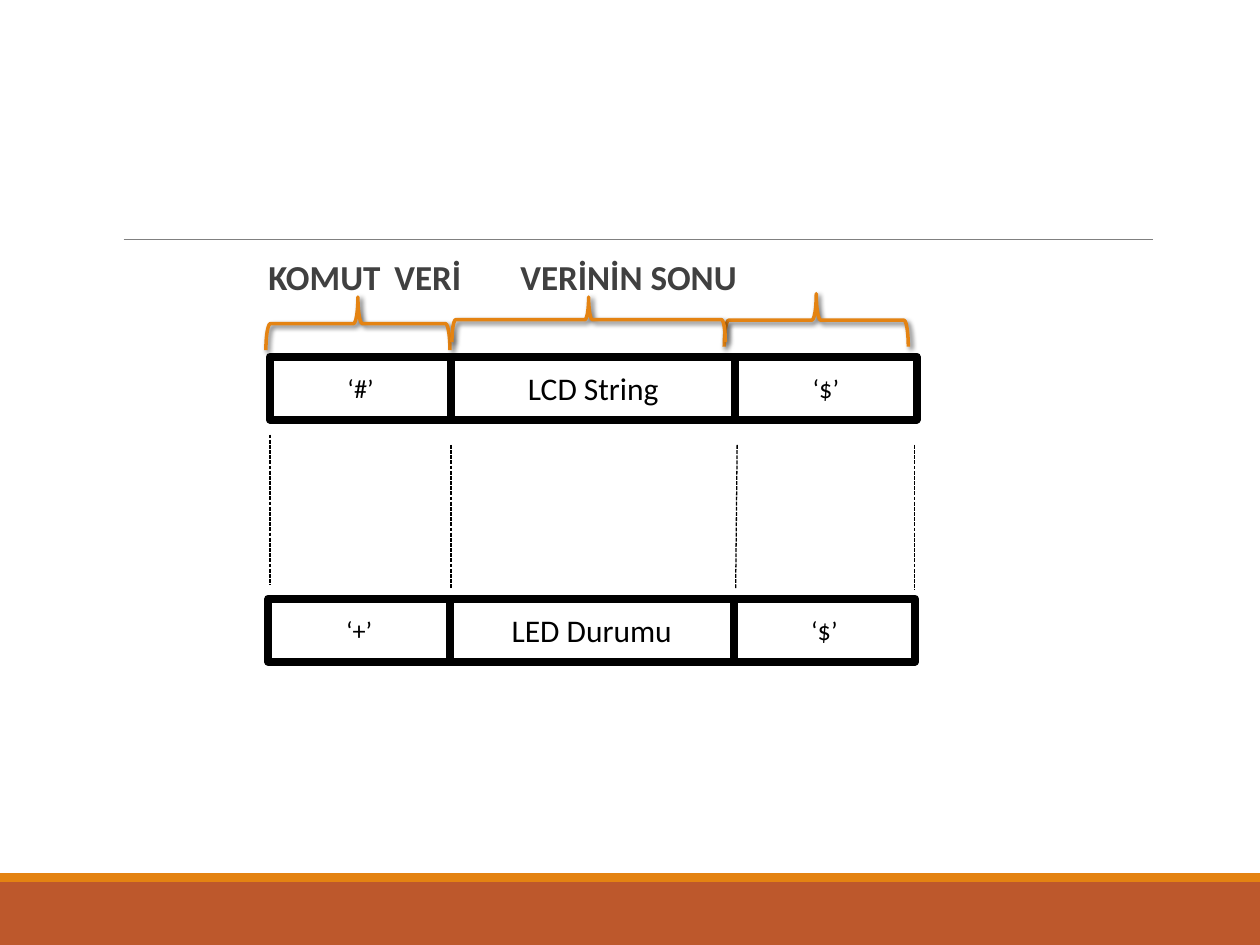
from itertools import accumulate

from lxml import etree
from pptx import Presentation
from pptx.dml.color import RGBColor
from pptx.enum import dml, shapes, text
from pptx.oxml import ns
from pptx.util import Cm, Pt

# Content; every length is in centimetres
HEADINGS = ["KOMUT", "VERİ", "VERİNİN SONU"]
HEADING_STARTS = [3.12, 6.63, 10.22]  # from the left edge of the heading box
COLUMN_WIDTHS = [3.66, 5.72, 3.66]
FRAMES = [  # left, top, fields
    (5.44, 7.19, ["‘#’", "LCD String", "‘$’"]),
    (5.41, 12.07, ["‘+’", "LED Durumu", "‘$’"]),
]
FRAME_HEIGHT = 1.27
BRACES = [  # left, top, span, depth as seen on the page
    (5.36, 5.99, 3.71, 1.07),
    (14.6, 5.92, 3.71, 1.07),
    (9.11, 5.99, 5.51, 0.91),
]
GUIDES = [  # x1, y1, x2, y2
    (9.09, 8.97, 9.09, 11.86),
    (14.86, 8.97, 14.83, 11.86),
    (18.44, 8.97, 18.44, 11.89),
    (5.44, 8.76, 5.44, 11.79),
]
BANDS = [(17.78, 1.27, "rust"), (17.6, 0.18, "orange")]  # top, height, colour

THEME = {
    "font": "Calibri",
    "rust": "BD582C", "orange": "E48312", "rule": "808080",
    "heading": "404040", "ink": "000000", "paper": "FFFFFF",
    "heading_size": 20, "mark_size": 15, "data_size": 18,
}


def colour(name):
    return RGBColor.from_string(THEME[name])


def apply(target, values):
    for name, value in values.items():
        setattr(target, name, value)


def add_xml(parent, tag, **attributes):
    return etree.SubElement(parent, ns.qn(tag), attributes)


def set_line(line, name, width):
    line.color.rgb = colour(name)
    line.width = Pt(width)


def write(para, words, size, name, bold=False):
    span = para.add_run()
    span.text = words
    apply(span.font, {"name": THEME["font"], "size": Pt(THEME[size]), "bold": bold})
    span.font.color.rgb = colour(name)


def add_box(page, left, top, width, height, fill):
    box = page.shapes.add_shape(shapes.MSO_SHAPE.RECTANGLE,
                                Cm(left), Cm(top), Cm(width), Cm(height))
    box.shadow.inherit = False
    box.fill.solid()
    box.fill.fore_color.rgb = colour(fill)
    box.line.fill.background()
    return box


def add_line(page, ends, name, width):
    line = page.shapes.add_connector(shapes.MSO_CONNECTOR.STRAIGHT, *map(Cm, ends))
    set_line(line.line, name, width)
    add_xml(line._element.spPr, "a:effectLst")
    return line


def add_headings(page):
    box = page.shapes.add_textbox(Cm(2.29), Cm(5.13), Cm(20.96), Cm(1.2))
    apply(box.text_frame, {"word_wrap": True, "margin_left": 0, "margin_right": 0})
    para = box.text_frame.paragraphs[0]
    apply(para, {"line_spacing": 0.9, "space_before": Pt(2), "space_after": Pt(4)})
    write(para, "\t".join(HEADINGS), "heading_size", "heading", bold=True)
    first, *stops = HEADING_STARTS
    properties = para._p.get_or_add_pPr()
    properties.set("marL", str(Cm(first)))
    properties.set("indent", "0")
    tabs = add_xml(properties, "a:tabLst")
    for stop in stops:
        add_xml(tabs, "a:tab", pos=str(Cm(stop)), algn="l")


def add_frame(page, left, top, fields):
    starts = accumulate(COLUMN_WIDTHS[:-1], initial=left)
    sizes = ["mark_size", "data_size", "mark_size"]
    for words, start, width, size in zip(fields, starts, COLUMN_WIDTHS, sizes):
        box = add_box(page, start, top, width, FRAME_HEIGHT, "paper")
        set_line(box.line, "ink", 4.5)
        add_xml(box.line._get_or_add_ln(), "a:round")
        apply(box.text_frame, {"word_wrap": True,
                               "vertical_anchor": text.MSO_ANCHOR.MIDDLE})
        para = box.text_frame.paragraphs[0]
        para.alignment = text.PP_ALIGN.CENTER
        write(para, words, size, "ink")


def add_brace(page, left, top, span, depth):
    # A left brace is turned a quarter about its centre so that it points up
    shift = (span - depth) / 2
    brace = page.shapes.add_shape(shapes.MSO_SHAPE.LEFT_BRACE, Cm(left + shift),
                                  Cm(top - shift), Cm(depth), Cm(span))
    brace.rotation = 90
    brace.fill.background()
    set_line(brace.line, "orange", 2)
    brace.shadow.inherit = False
    effects = brace._element.spPr.find(ns.qn("a:effectLst"))
    shadow = add_xml(effects, "a:outerShdw", blurRad=str(Pt(3)), dist=str(Pt(2)),
                     dir="2700000", algn="tl", rotWithShape="0")
    shade = add_xml(shadow, "a:srgbClr", val=THEME["ink"])
    add_xml(shade, "a:alpha", val="60000")


def main():
    deck = Presentation()
    apply(deck, {"slide_width": Cm(25.4), "slide_height": Cm(19.05)})
    page = deck.slides.add_slide(deck.slide_layouts[6])

    # Footer bands and title rule
    for top, height, fill in BANDS:
        add_box(page, 0, top, 25.4, height, fill)
    add_line(page, (2.49, 4.83, 23.24, 4.83), "rule", 0.5)

    # Headings and message frames
    add_headings(page)
    for frame in FRAMES:
        add_frame(page, *frame)

    # Braces over the fields and guides between the frames
    for brace in BRACES:
        add_brace(page, *brace)
    for ends in GUIDES:
        guide = add_line(page, ends, "ink", 0.75)
        guide.line.dash_style = dml.MSO_LINE.SQUARE_DOT

    deck.save("out.pptx")


if __name__ == "__main__":
    main()
